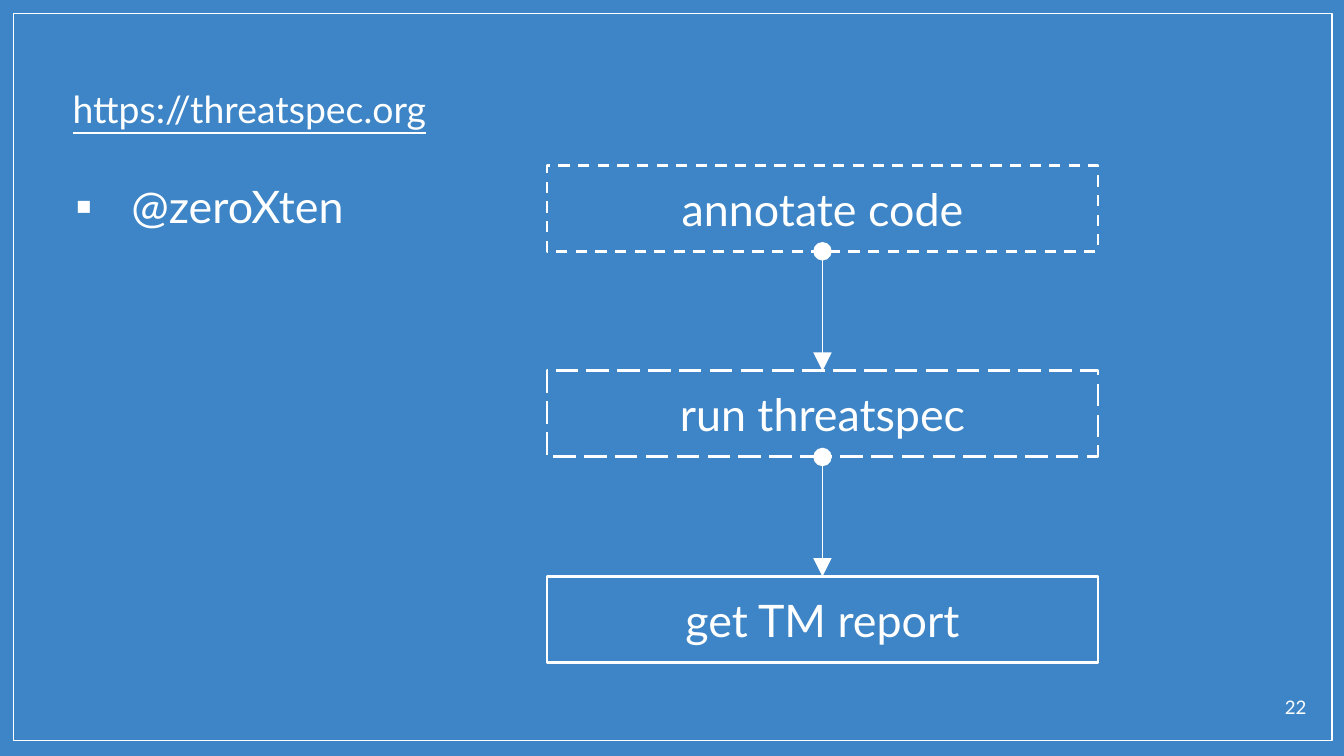
from itertools import pairwise

from lxml.etree import SubElement
from pptx import Presentation
from pptx.dml.color import RGBColor
from pptx.enum.dml import MSO_LINE_DASH_STYLE as Dash
from pptx.enum.shapes import MSO_CONNECTOR as Connector, MSO_SHAPE as Shape
from pptx.enum.text import MSO_ANCHOR as Anchor, MSO_AUTO_SIZE as AutoSize, PP_ALIGN as Align
from pptx.oxml.ns import qn
from pptx.util import Inches, Pt

BLUE = RGBColor(0x3D, 0x85, 0xC6)
WHITE = RGBColor(0xFF, 0xFF, 0xFF)

SLIDE_WIDTH = 10
SLIDE_HEIGHT = SLIDE_WIDTH * 9 / 16
STEP_LEFT, STEP_TOP = 4.07, 1.23
STEP_WIDTH, STEP_HEIGHT, STEP_PITCH = 4.1, 0.64, 1.53
STEPS = [
    ("annotate code", Dash.DASH),
    ("run threatspec", Dash.LONG_DASH),
    ("get TM report", None),
]
FRAME_FORMAT = {
    "word_wrap": True,
    "auto_size": AutoSize.NONE,
    "margin_left": Inches(0.1),
    "margin_right": Inches(0.1),
    "margin_top": Inches(0.1),
    "margin_bottom": Inches(0.1),
}


def apply_format(target, values):
    for key, value in values.items():
        setattr(target, key, value)


def place(*lengths):
    return [Inches(length) for length in lengths]


def write(holder, words, size, align=Align.LEFT, anchor=Anchor.TOP, underline=False):
    frame = holder.text_frame
    frame.text = words
    apply_format(frame, FRAME_FORMAT | {"vertical_anchor": anchor})
    line = frame.paragraphs[0]
    apply_format(line, {"alignment": align, "space_before": Pt(0)})
    font = line.runs[0].font
    apply_format(font, {"name": "Lato", "size": Pt(size), "underline": underline})
    font.color.rgb = WHITE
    return line


def add_title(slide, words):
    title = slide.shapes.title
    left, top, width, height = place(0.44, 0.54, 9, 0.45)
    apply_format(title, {"left": left, "top": top, "width": width, "height": height})
    write(title, words, 20, underline=True)


def add_bullet(slide, words):
    body = slide.shapes.add_textbox(*place(0.38, 1.23, 9.07, 3.98))
    properties = write(body, words, 24)._p.get_or_add_pPr()
    properties.set("marL", str(Inches(0.5)))
    properties.set("indent", str(Inches(-0.42)))
    color = SubElement(properties, qn("a:buClr"))
    SubElement(color, qn("a:srgbClr"), val=str(WHITE))
    SubElement(properties, qn("a:buFont"), typeface="Lato")
    SubElement(properties, qn("a:buChar"), char="▪")


def add_outline(slide, position, weight, dash=None):
    outline = slide.shapes.add_shape(Shape.RECTANGLE, *place(*position))
    outline.shadow.inherit = False
    outline.fill.background()
    outline.line.color.rgb = WHITE
    apply_format(outline.line, {"width": Pt(weight), "dash_style": dash})
    return outline


def add_step(slide, row, words, dash):
    position = (STEP_LEFT, STEP_TOP + row * STEP_PITCH, STEP_WIDTH, STEP_HEIGHT)
    step = add_outline(slide, position, 1.5, dash)
    write(step, words, 24, Align.CENTER, Anchor.MIDDLE)
    return step


def join_steps(slide, upper, lower):
    arrow = slide.shapes.add_connector(Connector.STRAIGHT, 0, 0, 0, 0)
    arrow.begin_connect(upper, 2)
    arrow.end_connect(lower, 0)
    arrow.line.color.rgb = WHITE
    arrow.line.width = Pt(0.75)
    line = arrow.line._get_or_add_ln()
    for end, kind in (("a:headEnd", "oval"), ("a:tailEnd", "triangle")):
        SubElement(line, qn(end), type=kind, w="lg", len="lg")
    SubElement(arrow._element.spPr, qn("a:effectLst"))


def main():
    deck = Presentation()
    deck.slide_width, deck.slide_height = place(SLIDE_WIDTH, SLIDE_HEIGHT)
    slide = deck.slides.add_slide(deck.slide_layouts[5])
    slide.background.fill.solid()
    slide.background.fill.fore_color.rgb = BLUE

    add_outline(slide, (0.1, 0.1, 9.81, 5.41), 0.75)
    add_title(slide, "https://threatspec.org")
    add_bullet(slide, "@zeroXten")
    page_number = slide.shapes.add_textbox(*place(9.32, 5.08, 0.5, 0.32))
    write(page_number, "22", 10, Align.RIGHT)

    steps = [add_step(slide, row, *step) for row, step in enumerate(STEPS)]
    for upper, lower in pairwise(steps):
        join_steps(slide, upper, lower)

    deck.save("out.pptx")


if __name__ == "__main__":
    main()
